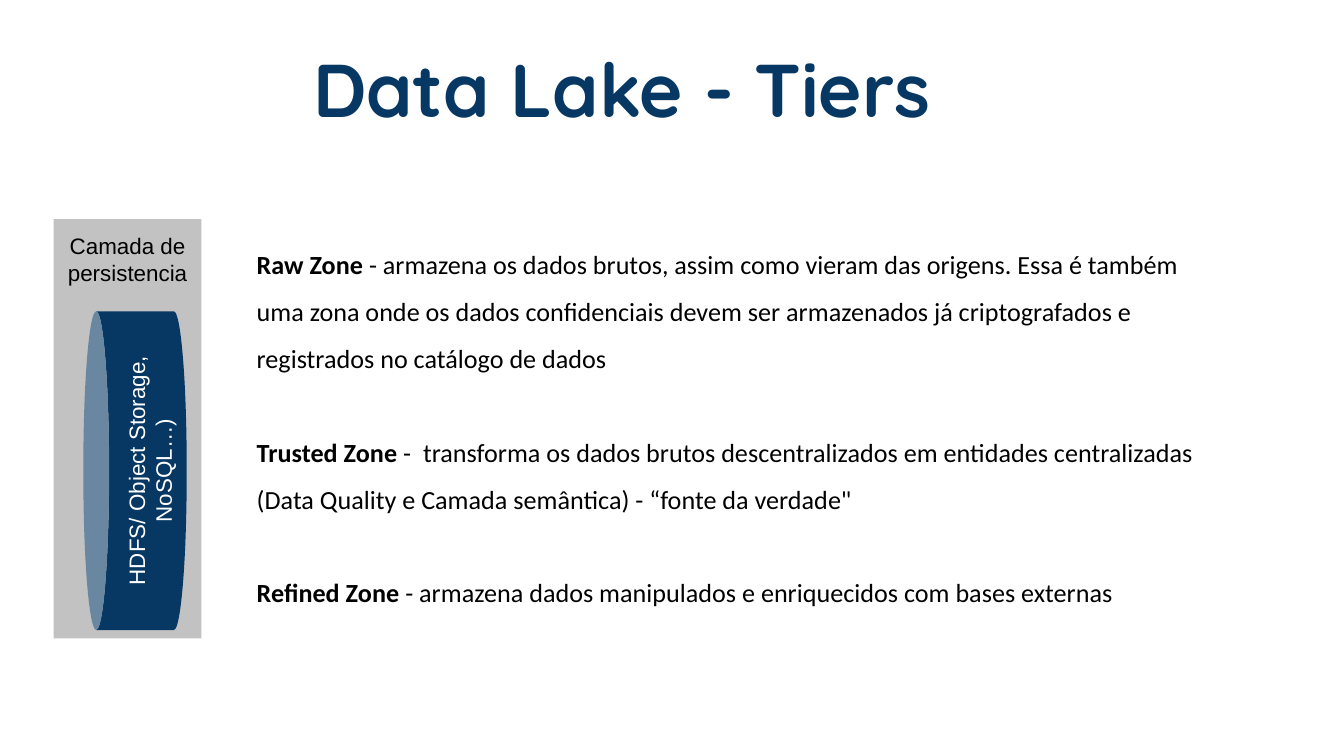
from dataclasses import dataclass
from pptx import Presentation
from pptx import util as u
from pptx.dml.color import RGBColor
from pptx.enum import shapes, text
from lxml import etree


@dataclass(frozen=True)
class Theme:
    navy: str = "073763"
    grey: str = "C2C2C2"
    black: str = "000000"
    white: str = "FFFFFF"
    heading: str = "Quicksand"
    body: str = "Calibri"
    label: str = "Arial"
    title_size: int = 40
    body_size: int = 14
    label_size: int = 12


T = Theme()
W = 10
H = W * 9 / 16
CELL = W / 100
ZONES = [
    ("Raw Zone ", "- armazena os dados brutos, assim como vieram das origens. Essa é também "
     "uma zona onde os dados confidenciais devem ser armazenados já criptografados e "
     "registrados no catálogo de dados"),
    ("Trusted Zone", " -  transforma os dados brutos descentralizados em entidades "
     "centralizadas (Data Quality e Camada semântica) - “fonte da verdade\""),
    ("Refined Zone ", "- armazena dados manipulados e enriquecidos com bases externas"),
]


def grid(col, row, cols, rows):
    return tuple(n * CELL for n in (col, row, cols, rows))


def share(box, x, y, w, h):
    left, top, width, height = box
    return left + x * width, top + y * height, w * width, h * height


def place(sp, box):
    sp.left, sp.top, sp.width, sp.height = (u.Inches(v) for v in box)


def frame(sp, anchor):
    tf = sp.text_frame
    tf.word_wrap = True
    tf.auto_size = text.MSO_AUTO_SIZE.NONE
    tf.vertical_anchor = anchor
    tf.margin_left = tf.margin_right = tf.margin_top = tf.margin_bottom = u.Inches(0.1)
    return tf


def write(p, words, font, size, color, bold=False, align=text.PP_ALIGN.LEFT):
    p.alignment = align
    r = p.add_run()
    r.text = words
    r.font.name, r.font.size, r.font.bold = font, u.Pt(size), bold
    r.font.color.rgb = RGBColor.from_string(color)


def add_title(s, box):
    sp = s.shapes.title
    place(sp, box)
    tf = frame(sp, text.MSO_ANCHOR.MIDDLE)
    write(tf.paragraphs[0], "Data Lake - Tiers", T.heading, T.title_size, T.navy, bold=True)


def add_label_shape(s, kind, box, fill, words, color, rotation=0):
    sp = s.shapes.add_shape(kind, *(u.Inches(v) for v in box))
    sp.shadow.inherit = False
    sp.fill.solid()
    sp.fill.fore_color.rgb = RGBColor.from_string(fill)
    sp.line.fill.background()
    sp.rotation = rotation
    tf = frame(sp, text.MSO_ANCHOR.TOP)
    write(tf.paragraphs[0], words, T.label, T.label_size, color, align=text.PP_ALIGN.CENTER)
    return sp


def add_persistence(s, box):
    kinds = shapes.MSO_SHAPE
    add_label_shape(s, kinds.RECTANGLE, box, T.grey, "Camada de persistencia", T.black)
    x, y, w, h = share(box, 0.2, 0.22, 0.7, 0.76)
    turned = x + (w - h) / 2, y + (h - w) / 2, h, w
    can = add_label_shape(s, kinds.CAN, turned, T.navy,
                          "HDFS/ Object Storage, NoSQL…)", T.white, rotation=270)
    can.adjustments[0] = 0.25


def add_zones(s, box):
    sp = s.placeholders[1]
    place(sp, box)
    tf = frame(sp, text.MSO_ANCHOR.TOP)
    for i, (name, detail) in enumerate(ZONES):
        p = tf.add_paragraph() if i else tf.paragraphs[0]
        p.line_spacing = 1.5
        p.space_before = u.Pt(25 if i else 0)
        write(p, name, T.body, T.body_size, T.black, bold=True)
        write(p, detail, T.body, T.body_size, T.black)
        pPr = p._p.get_or_add_pPr()
        pPr.set("marL", "0")
        pPr.set("indent", "0")
        etree.SubElement(pPr, "{http://schemas.openxmlformats.org/drawingml/2006/main}buNone")


def main():
    prs = Presentation()
    prs.slide_width, prs.slide_height = u.Inches(W), u.Inches(H)
    s = prs.slides.add_slide(prs.slide_layouts[1])
    add_title(s, grid(22.3, 3.3, 74.3, 6.5))
    add_persistence(s, grid(4, 16.3, 11, 31.2))
    add_zones(s, grid(18.1, 16.3, 74.3, 29.1))
    prs.save("out.pptx")


if __name__ == "__main__":
    main()
